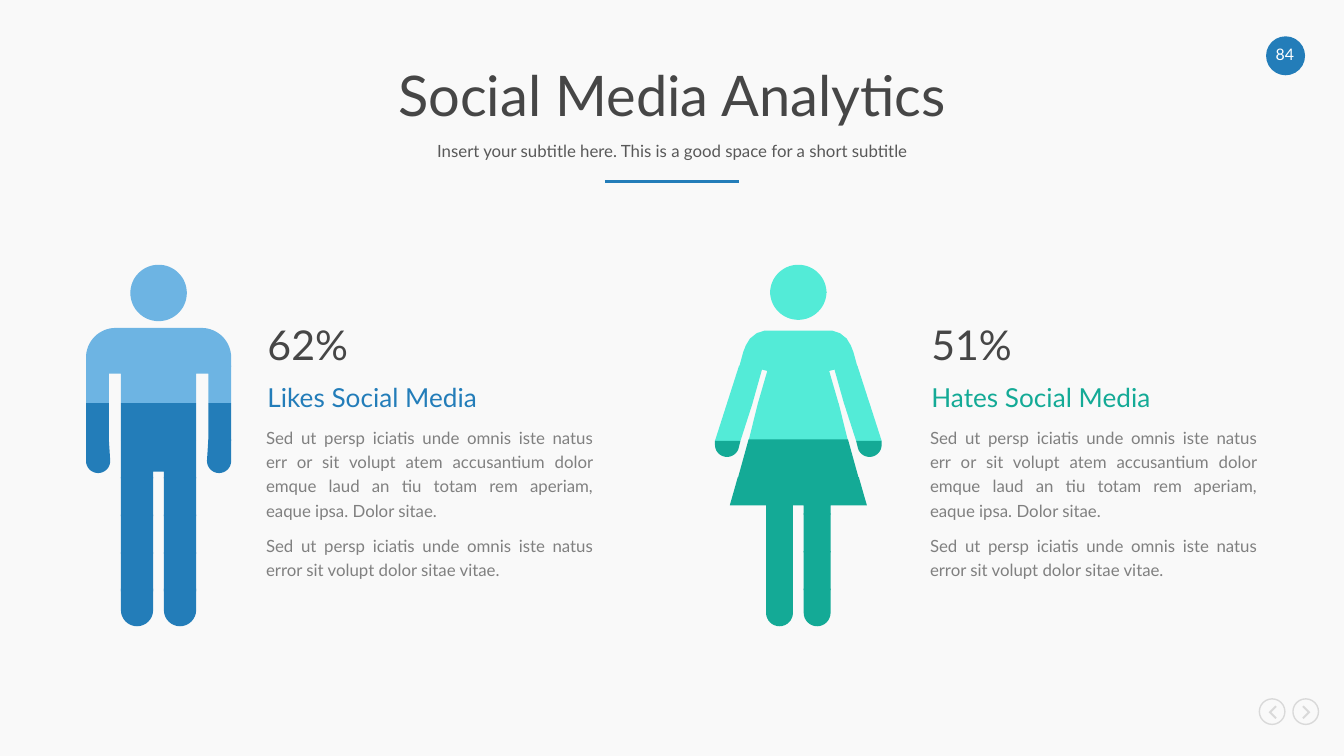
from math import cos, radians, sin

from lxml import etree
from pptx import Presentation
from pptx.dml.color import RGBColor
from pptx.enum import shapes, text
from pptx.oxml import ns
from pptx.util import Inches, Pt

HUES = {
    "back": "F9F9F9", "dark": "464646", "mid": "595959", "gray": "808080",
    "pale": "D9D9D9", "white": "FFFFFF", "blue": "237DB9", "sky": "6DB4E3",
    "teal": "14AA96", "mint": "53EBD7",
}
RGB = {name: RGBColor.from_string(code) for name, code in HUES.items()}
ALIGN = text.PP_ALIGN
ANCHOR = text.MSO_ANCHOR


def arc(x, y, r, start, end):
    """Points on a circle; angles run clockwise from the right."""
    turns = [radians(start + (end - start) * i / 16) for i in range(17)]
    return [(x + r * cos(t), y + r * sin(t)) for t in turns]


def write(shape, lines, size, hue, align, anchor=ANCHOR.TOP, **form):
    """Fill a shape with unpadded paragraphs that share one format."""
    frame = shape.text_frame
    frame.word_wrap = True
    frame.auto_size = text.MSO_AUTO_SIZE.NONE
    frame.vertical_anchor = anchor
    for side in ("left", "top", "right", "bottom"):
        setattr(frame, f"margin_{side}", 0)
    frame.text = "\n".join(lines)
    for para in frame.paragraphs:
        for key, value in {"alignment": align, "space_before": Pt(0), **form}.items():
            setattr(para, key, value)
        for run in para.runs:
            for key, value in {"name": "Lato", "size": Pt(size), "bold": False}.items():
                setattr(run.font, key, value)
            run.font.color.rgb = RGB[hue]


deck = Presentation()
deck.slide_width = Inches(10)
deck.slide_height = Inches(10 * 9 / 16)
slide = deck.slides.add_slide(deck.slide_layouts[0])
slide.background.fill.solid()
slide.background.fill.fore_color.rgb = RGB["back"]
items = slide.shapes

# Heading
heads = [
    (slide.placeholders[0], 0.48, 0.5, "Social Media Analytics", 30, "dark"),
    (slide.placeholders[1], 1.01, 0.25,
     "Insert your subtitle here. This is a good space for a short subtitle", 9, "mid"),
]
for holder, top, height, words, size, hue in heads:
    holder.left, holder.top = Inches(0.65), Inches(top)
    holder.width, holder.height = Inches(8.7), Inches(height)
    write(holder, [words], size, hue, ALIGN.CENTER, ANCHOR.MIDDLE, line_spacing=0.9)

rule = items.add_connector(
    shapes.MSO_CONNECTOR.STRAIGHT, Inches(4.5), Inches(1.35), Inches(5.5), Inches(1.35))
rule.line.color.rgb = RGB["blue"]
rule.line.width = Pt(1.5)
etree.SubElement(rule._element.spPr, ns.qn("a:effectLst"))

# Page number
badge = items.add_shape(
    shapes.MSO_SHAPE.OVAL, Inches(9.42), Inches(0.27), Inches(0.29), Inches(0.29))
badge.shadow.inherit = False
badge.fill.solid()
badge.fill.fore_color.rgb = RGB["blue"]
badge.line.fill.background()
page = items.add_textbox(Inches(9.44), Inches(0.33), Inches(0.24), Inches(0.14))
write(page, ["84"], 8.5, "white", ALIGN.CENTER)

# Outlines wait here as (target, hue, contours) and are drawn at the end
parts = []

# Navigation arrows
arrow = [(0.02, -0.05), (0.03, -0.04), (-0.01, 0), (0.03, 0.04), (0.02, 0.05), (-0.03, 0)]
for mid, sign in ((9.47, 1), (9.72, -1)):
    ring = items.add_shape(
        shapes.MSO_SHAPE.OVAL, Inches(mid - 0.1), Inches(5.2), Inches(0.19), Inches(0.19))
    ring.shadow.inherit = False
    ring.fill.background()
    ring.line.color.rgb = RGB["pale"]
    ring.line.width = Pt(0.75)
    parts.append((items, "pale", [[(mid + sign * x, 5.3 + y) for x, y in arrow]]))

# Text columns
story = [
    "Sed ut persp iciatis unde omnis iste natus err or sit volupt atem accusantium dolor "
    "emque laud an tiu totam rem aperiam, eaque ipsa. Dolor sitae.",
    "Sed ut persp iciatis unde omnis iste natus error sit volupt dolor sitae vitae.",
]
columns = [(1.99, "62%", "Likes Social Media", "blue"),
           (6.93, "51%", "Hates Social Media", "teal")]
for left, share, label, hue in columns:
    rows = [
        (0, 2.38, 0.38, [share], 22, "dark", ALIGN.LEFT, {}),
        (0, 2.84, 0.29, [label], 14, hue, ALIGN.JUSTIFY, {}),
        (-0.01, 3.15, 1.16, story, 9, "gray", ALIGN.JUSTIFY,
         {"line_spacing": Pt(13), "space_after": Pt(6)}),
    ]
    for shift, top, height, lines, size, tone, align, form in rows:
        box = items.add_textbox(
            Inches(left + shift), Inches(top), Inches(2.42 - shift), Inches(height))
        write(box, lines, size, tone, align, **form)

# Figures: each slice has a hue, the right half of a centred outline, and an
# outline repeated on both sides; x is measured from the figure's middle
man = [
    ("sky", arc(0, 2.18, 0.21, 270, 360), []),
    ("sky", arc(0, 2.18, 0.21, 0, 90), []),
    ("sky", arc(0.32, 2.66, 0.22, 270, 360) + [(0.54, 2.73)], []),
    ("sky", [(0.54, 2.72), (0.54, 3), (0.37, 3), (0.37, 2.78), (0.28, 2.78), (0.28, 3)], []),
    ("blue", [(0.28, 3), (0.28, 3.28)], [(0.37, 3), (0.54, 3), (0.54, 3.28), (0.37, 3.28)]),
    ("blue", [(0.28, 3.28), (0.28, 3.56), (0.04, 3.56), (0.04, 3.51)],
     [(0.37, 3.27), (0.54, 3.27)] + arc(0.45, 3.43, 0.09, 0, 180)),
    ("blue", [], [(0.04, 4.38), (0.28, 4.38)] + arc(0.16, 4.54, 0.12, 0, 180)),
]
woman = [
    ("mint", arc(0, 2.18, 0.21, 270, 360), []),
    ("mint", arc(0, 2.17, 0.21, 0, 90), []),
    ("mint", [(0.25, 2.46), (0.31, 2.48), (0.36, 2.52), (0.39, 2.57), (0.41, 2.62),
              (0.44, 2.73)], []),
    ("mint", [(0.44, 2.72), (0.53, 3), (0.34, 3), (0.27, 2.75), (0.23, 2.76), (0.3, 3)], []),
    ("mint", [(0.3, 3), (0.37, 3.28)], [(0.34, 3), (0.53, 3), (0.62, 3.28), (0.43, 3.28)]),
    ("teal", [(0.37, 3.27), (0.45, 3.56)],
     [(0.43, 3.28), (0.62, 3.28)] + arc(0.53, 3.31, 0.09, 0, 160)),
    ("teal", [(0.45, 3.55), (0.51, 3.76), (0.24, 3.76), (0.24, 3.83), (0.04, 3.83),
              (0.04, 3.76)], []),
    ("teal", [], [(0.04, 4.38), (0.24, 4.38)] + arc(0.14, 4.56, 0.1, 0, 180)),
]
legs = [(man, "blue", 0.28, (3.55, 3.83, 4.11)), (woman, "teal", 0.24, (3.82, 4.1))]
for body, hue, edge, tops in legs:
    for top in tops:
        low = top + 0.29
        body.append((hue, [], [(0.04, top), (edge, top), (edge, low), (0.04, low)]))

for mid, body in ((1.18, man), (5.94, woman)):
    group = items.add_group_shape()
    for hue, half, side in body:
        whole = half + [(-x, y) for x, y in reversed(half)]
        twin = [(-x, y) for x, y in side]
        paths = [[(mid + x, y) for x, y in path] for path in (whole, side, twin) if path]
        parts.append((group.shapes, hue, paths))

for target, hue, paths in parts:
    pen = None
    for path in paths:
        spots = [(Inches(x), Inches(y)) for x, y in path]
        if pen is None:
            pen = target.build_freeform(*spots[0])
        else:
            pen.move_to(*spots[0])
        pen.add_line_segments(spots[1:], close=True)
    piece = pen.convert_to_shape()
    piece.shadow.inherit = False
    piece.fill.solid()
    piece.fill.fore_color.rgb = RGB[hue]
    piece.line.fill.background()

deck.save("out.pptx")
